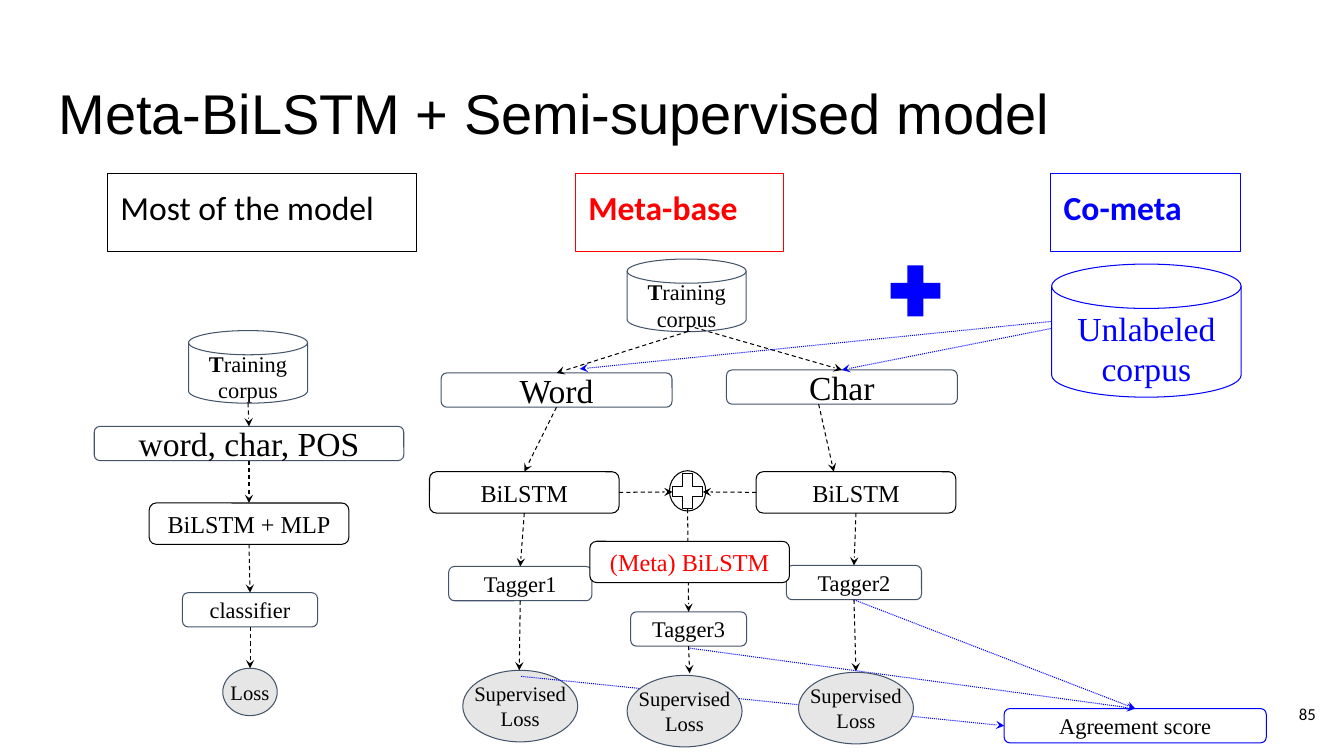
"""Builds a slide comparing a common tagger, Meta-BiLSTM and its semi-supervised Co-meta extension."""
from lxml import etree
from pptx import Presentation
from pptx.dml.color import RGBColor
from pptx.enum.dml import MSO_LINE
from pptx.enum.shapes import MSO_CONNECTOR, MSO_SHAPE
from pptx.enum.text import MSO_ANCHOR, PP_ALIGN
from pptx.oxml.ns import qn
from pptx.util import Inches, Pt

RECTANGLE, ROUNDED, OVAL = MSO_SHAPE.RECTANGLE, MSO_SHAPE.ROUNDED_RECTANGLE, MSO_SHAPE.OVAL
DISK, PLUS = MSO_SHAPE.FLOWCHART_MAGNETIC_DISK, MSO_SHAPE.MATH_PLUS
STRAIGHT, DASH, DOT = MSO_CONNECTOR.STRAIGHT, MSO_LINE.DASH, MSO_LINE.ROUND_DOT
LEFT, CENTER, RIGHT = PP_ALIGN.LEFT, PP_ALIGN.CENTER, PP_ALIGN.RIGHT
ANCHOR_TOP, ANCHOR_MIDDLE = MSO_ANCHOR.TOP, MSO_ANCHOR.MIDDLE
BLACK = RGBColor(0x00, 0x00, 0x00)
WHITE = RGBColor(0xFF, 0xFF, 0xFF)
RED = RGBColor(0xFF, 0x00, 0x00)
BLUE = RGBColor(0x00, 0x00, 0xFF)
SLATE = RGBColor(0x44, 0x54, 0x6A)
GREY = RGBColor(0xE7, 0xE6, 0xE6)
SERIF = "Times New Roman"
SIDE_TOP, SIDE_LEFT, SIDE_BOTTOM, SIDE_RIGHT = range(4)
COLUMNS, ROWS = 13.33, 7.5
CELL = Inches(1)
THIN, THICK = 0.34, 0.41

deck = Presentation()
deck.slide_width, deck.slide_height = int(COLUMNS * CELL), int(ROWS * CELL)
page = deck.slides.add_slide(deck.slide_layouts[6])


def write(box, text, size, color=BLACK, font=SERIF, align=CENTER, anchor=ANCHOR_MIDDLE, inset=0.0, bold=False):
    """Fill a box with text of one style."""
    frame = box.text_frame
    frame.text = text
    frame.word_wrap = inset > 0
    frame.vertical_anchor = anchor
    frame.margin_left = frame.margin_right = frame.margin_top = frame.margin_bottom = int(inset * CELL)
    for para in frame.paragraphs:
        para.alignment = align
        for span in para.runs:
            span.font.size, span.font.name, span.font.bold = Pt(size), font, bold
            span.font.color.rgb = color


def add_box(kind, center, top, width, height, fill=None, line=None):
    """Add a preset shape centred on a vertical axis, measured in grid cells."""
    lengths = (center - width / 2, top, width, height)
    box = page.shapes.add_shape(kind, *(int(length * CELL) for length in lengths))
    box.shadow.inherit = False
    for color, paint in ((fill, box.fill), (line, box.line.fill)):
        if color is None:
            paint.background()
        else:
            paint.solid()
            paint.fore_color.rgb = color
    if line is not None:
        box.line.width = Pt(0.75)
    return box


for text, center, width, color, bold in (
    ("Most of the model", 2.6, 3.07, BLACK, False),
    ("Meta-base", 6.74, 2.07, RED, True),
    ("Co-meta", 11.36, 1.88, BLUE, True),
):
    heading = add_box(RECTANGLE, center, 1.72, width, 0.78, line=color)
    write(heading, text, 24, color, "Calibri", LEFT, ANCHOR_TOP, 0.13, bold)

for text, center, top, width, height, size, line, color in (
    ("T\ncorpus", 2.46, 3.28, 1.18, 0.72, 16, SLATE, BLACK),
    ("T\ncorpus", 6.81, 2.57, 1.18, 0.72, 16, SLATE, BLACK),
    ("Unlabeled\ncorpus", 11.37, 2.62, 1.88, 1.32, 24, BLUE, BLUE),
):
    disk = add_box(DISK, center, top, width, height, WHITE, line)
    write(disk, text, size, color)
    disk.text_frame.margin_top = int(height * CELL / 10)
    if text.startswith("T"):
        para = disk.text_frame.paragraphs[0]
        para.runs[0].font.bold = True
        span = para.add_run()
        span.text = "raining"
        span.font.size, span.font.name = Pt(size), SERIF
        span.font.color.rgb = color

boxes = {}
for name, text, center, top, width, height, size, line in (
    ("features", "word, char, POS", 2.47, 4.23, 3.07, THIN, 24, SLATE),
    ("mlp", "BiLSTM + MLP", 2.47, 4.99, 1.98, THICK, 17.3, BLACK),
    ("classifier", "classifier", 2.48, 5.88, 1.34, THIN, 16, SLATE),
    ("word", "Word", 5.52, 3.7, 2.29, THIN, 24, SLATE),
    ("char", "Char", 8.35, 3.67, 2.29, THIN, 24, SLATE),
    ("word lstm", "BiLSTM", 5.2, 4.68, 1.88, THICK, 17.3, BLACK),
    ("char lstm", "BiLSTM", 8.49, 4.68, 1.98, THICK, 17.3, BLACK),
    ("tagger1", "Tagger1", 5.16, 5.62, 1.42, THIN, 16, SLATE),
    ("tagger2", "Tagger2", 8.47, 5.61, 1.34, THIN, 16, SLATE),
    ("tagger3", "Tagger3", 6.83, 6.07, 1.15, THIN, 16, SLATE),
    ("agreement", "Agreement score", 11.26, 7.03, 2.6, THIN, 16, BLUE),
):
    boxes[name] = add_box(ROUNDED, center, top, width, height, WHITE, line)
    write(boxes[name], text, size)

add_box(OVAL, 6.82, 4.67, 0.36, 0.4, line=BLACK)
add_box(PLUS, 6.82, 4.64, 0.4, 0.47, line=BLACK)
add_box(PLUS, 9.08, 2.54, 0.67, 0.69, BLUE)

for text, center, top, width, height in (
    ("Loss", 2.48, 6.63, 0.54, 0.47),
    ("Supervised\nLoss", 5.16, 6.65, 1.14, 0.71),
):
    write(add_box(OVAL, center, top, width, height, GREY, SLATE), text, 14.7)

for start, end, color, dash in (
    ((2.46, 4), ("features", SIDE_TOP), BLACK, DASH),
    (("features", SIDE_BOTTOM), ("mlp", SIDE_TOP), BLACK, DASH),
    (("mlp", SIDE_BOTTOM), ("classifier", SIDE_TOP), BLACK, DASH),
    (("classifier", SIDE_BOTTOM), (2.48, 6.63), BLACK, DASH),
    ((6.82, 3.29), ("word", SIDE_TOP), BLACK, DASH),
    ((6.82, 3.23), ("char", SIDE_TOP), BLACK, DASH),
    (("word", SIDE_BOTTOM), ("word lstm", SIDE_TOP), BLACK, DASH),
    ((8.12, 4.01), (8.27, 4.68), BLACK, DASH),
    (("word lstm", SIDE_RIGHT), (6.67, 4.88), BLACK, DASH),
    (("char lstm", SIDE_LEFT), (6.97, 4.88), BLACK, DASH),
    (("word lstm", SIDE_BOTTOM), ("tagger1", SIDE_TOP), BLACK, DASH),
    (("char lstm", SIDE_BOTTOM), ("tagger2", SIDE_TOP), BLACK, DASH),
    ((6.82, 5.05), ("tagger3", SIDE_TOP), BLACK, DASH),
    (("tagger1", SIDE_BOTTOM), (5.15, 6.65), BLACK, DASH),
    (("tagger2", SIDE_BOTTOM), (8.49, 6.66), BLACK, DASH),
    (("tagger3", SIDE_BOTTOM), (6.84, 6.68), BLACK, DASH),
    ((6.84, 6.43), ("agreement", SIDE_TOP), BLUE, DOT),
    (("tagger2", SIDE_BOTTOM), ("agreement", SIDE_TOP), BLUE, DOT),
    ((5.17, 6.71), ("agreement", SIDE_LEFT), BLUE, DOT),
    ((10.42, 3.26), ("char", SIDE_TOP), BLUE, DOT),
    ((10.42, 3.19), (5.75, 3.66), BLUE, DOT),
):
    points = [(0, 0) if place[0] in boxes else place for place in (start, end)]
    arrow = page.shapes.add_connector(STRAIGHT, *(int(length * CELL) for point in points for length in point))
    for place, join in ((start, arrow.begin_connect), (end, arrow.end_connect)):
        if place[0] in boxes:
            join(boxes[place[0]], place[1])
    arrow.line.color.rgb = color
    arrow.line.width = Pt(0.75)
    arrow.line.dash_style = dash
    etree.SubElement(arrow.line._get_or_add_ln(), qn("a:tailEnd"), type="stealth")
    etree.SubElement(arrow._element.spPr, qn("a:effectLst"))

meta = add_box(ROUNDED, 6.84, 5.37, 1.98, THICK, WHITE, BLACK)
write(meta, "(Meta) BiLSTM", 17.3, RED)
for center, top in ((6.79, 6.7), (8.49, 6.67)):
    write(add_box(OVAL, center, top, 1.14, 0.71, GREY, SLATE), "Supervised\nLoss", 14.7)

for text, left, top, width, height, style in (
    ("Meta-BiLSTM + Semi-supervised model", 0.45, 0.65, 12.42, 0.84, (40, BLACK, "Arial", LEFT, ANCHOR_TOP, 0.13)),
    ("85", 12.35, 6.8, 0.8, 0.57, (12, BLACK, "Calibri", RIGHT, ANCHOR_MIDDLE, 0.1)),
):
    box = page.shapes.add_textbox(*(int(length * CELL) for length in (left, top, width, height)))
    write(box, text, *style)

deck.save("out.pptx")
